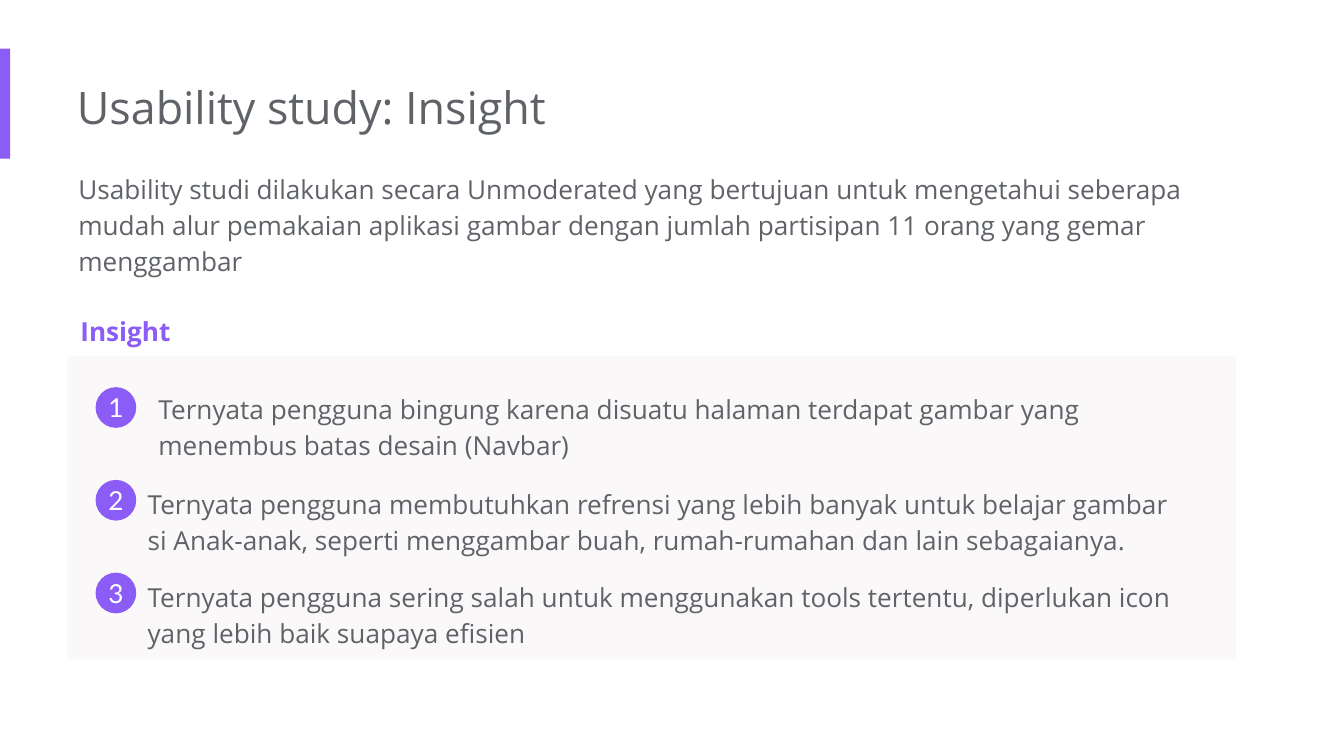
import pptx
import pptx.dml.color
import pptx.enum.shapes
import pptx.enum.text
import pptx.util

Pt = pptx.util.Pt
RGBColor = pptx.dml.color.RGBColor
MSO_SHAPE = pptx.enum.shapes.MSO_SHAPE

PURPLE = RGBColor(0x8B, 0x5C, 0xF6)
GREY = RGBColor(0x5F, 0x63, 0x68)
PANEL = RGBColor(0xFA, 0xF8, 0xF9)
WHITE = RGBColor(0xFF, 0xFF, 0xFF)

TITLE = "Usability study: Insight"
INTRO = (
    "Usability studi dilakukan secara Unmoderated yang bertujuan untuk mengetahui "
    "seberapa mudah alur pemakaian aplikasi gambar dengan jumlah partisipan 11 orang "
    "yang gemar menggambar"
)
HEADING = "Insight"
# Text, then left, top and width of its box
INSIGHTS = [
    ("Ternyata pengguna bingung karena disuatu halaman terdapat gambar yang "
     "menembus batas desain (Navbar)", 77.8, 200.9, 579),
    ("Ternyata pengguna membutuhkan refrensi yang lebih banyak untuk belajar gambar "
     "si Anak-anak, seperti menggambar buah, rumah-rumahan dan lain sebagaianya.",
     72, 252, 569.5),
    ("Ternyata pengguna sering salah untuk menggunakan tools tertentu, diperlukan icon "
     "yang lebih baik suapaya efisien", 72, 301.7, 573),
]

INSET = 7.2
BADGE_LEFT, BADGE_TOP, BADGE_SIZE, BADGE_PITCH = 51.2, 207.4, 21.8, 49.7


def style_text(text_frame, text, size, color, font="Open Sans", bold=False):
    text_frame.text = text
    paragraph = text_frame.paragraphs[0]
    run_font = paragraph.runs[0].font
    run_font.name = font
    run_font.size = Pt(size)
    run_font.bold = bold
    run_font.color.rgb = color
    return paragraph


def add_text(slide, box, text, size=14, color=GREY, bold=False,
             left_inset=INSET, line_spacing=1.15):
    text_frame = slide.shapes.add_textbox(*map(Pt, box)).text_frame
    text_frame.word_wrap = True
    text_frame.margin_left = Pt(left_inset)
    text_frame.margin_top = text_frame.margin_right = text_frame.margin_bottom = Pt(INSET)
    paragraph = style_text(text_frame, text, size, color, bold=bold)
    paragraph.line_spacing = line_spacing


def add_filled_shape(slide, kind, box, color):
    shape = slide.shapes.add_shape(kind, *map(Pt, box))
    shape.shadow.inherit = False
    shape.fill.solid()
    shape.fill.fore_color.rgb = color
    shape.line.fill.background()
    return shape


def add_badge(slide, index):
    box = (BADGE_LEFT, BADGE_TOP + index * BADGE_PITCH, BADGE_SIZE, BADGE_SIZE)
    text_frame = add_filled_shape(slide, MSO_SHAPE.OVAL, box, PURPLE).text_frame
    text_frame.margin_left = text_frame.margin_right = 0
    text_frame.margin_top = text_frame.margin_bottom = 0
    text_frame.vertical_anchor = pptx.enum.text.MSO_ANCHOR.MIDDLE
    paragraph = style_text(text_frame, str(index + 1), 14, WHITE, font="Lato")
    paragraph.alignment = pptx.enum.text.PP_ALIGN.CENTER


def main():
    presentation = pptx.Presentation()
    presentation.slide_width, presentation.slide_height = Pt(720), Pt(405)
    slide = presentation.slides.add_slide(presentation.slide_layouts[6])

    add_filled_shape(slide, MSO_SHAPE.RECTANGLE, (0, 26, 5.5, 59), PURPLE)
    add_text(slide, (41.2, 35.3, 484.5, 44), TITLE, size=24, left_inset=0, line_spacing=1)
    add_text(slide, (42, 83, 620, 93), INTRO, left_inset=0)
    add_text(slide, (36, 159.3, 263, 31.5), HEADING, color=PURPLE, bold=True)

    add_filled_shape(slide, MSO_SHAPE.RECTANGLE, (36, 190.8, 626, 162.5), PANEL)
    for index, (text, left, top, width) in enumerate(INSIGHTS):
        add_badge(slide, index)
        add_text(slide, (left, top, width, 53), text)

    presentation.save("out.pptx")


if __name__ == "__main__":
    main()
